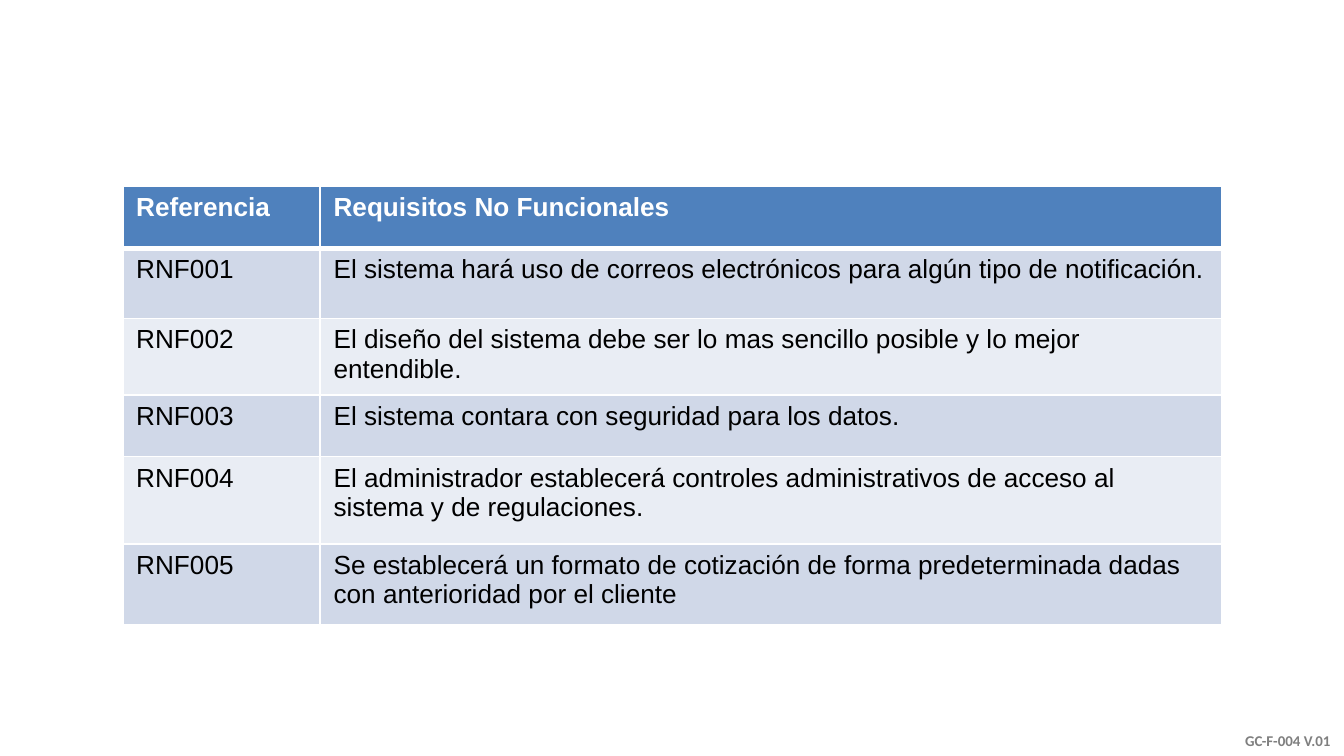
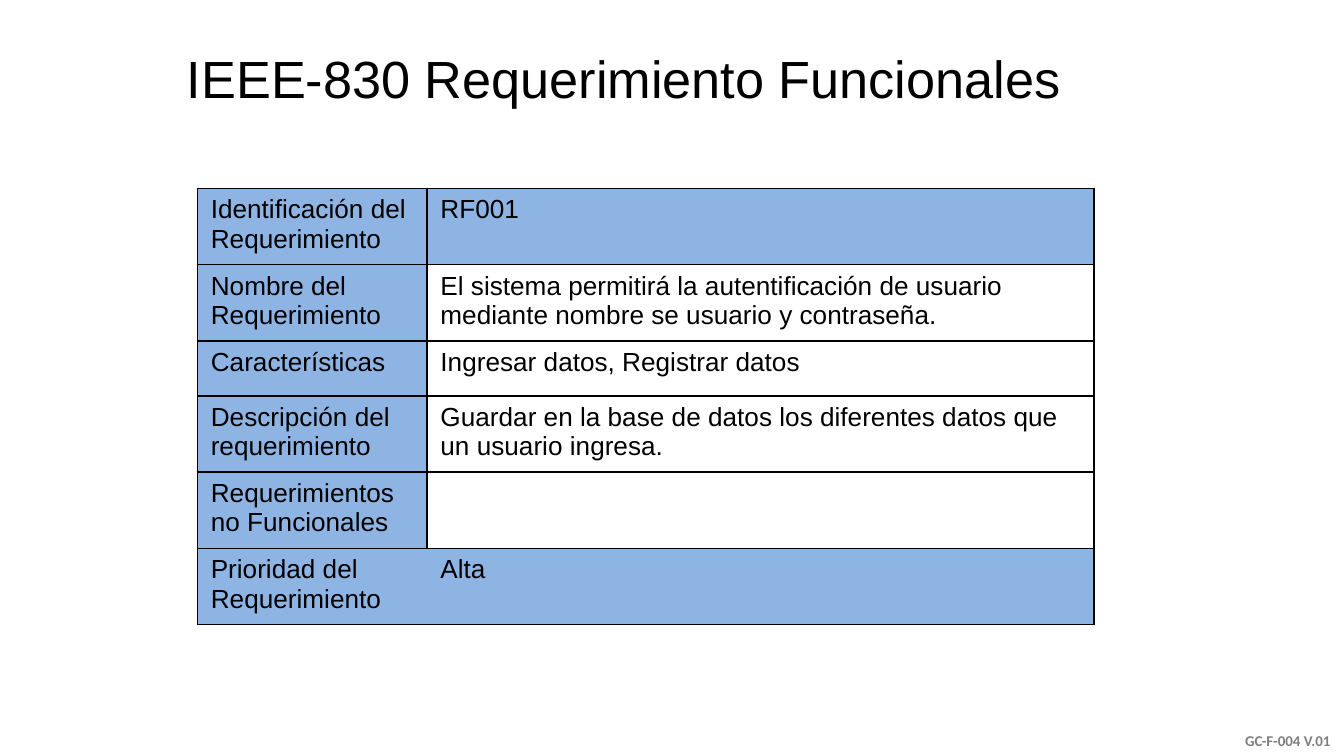
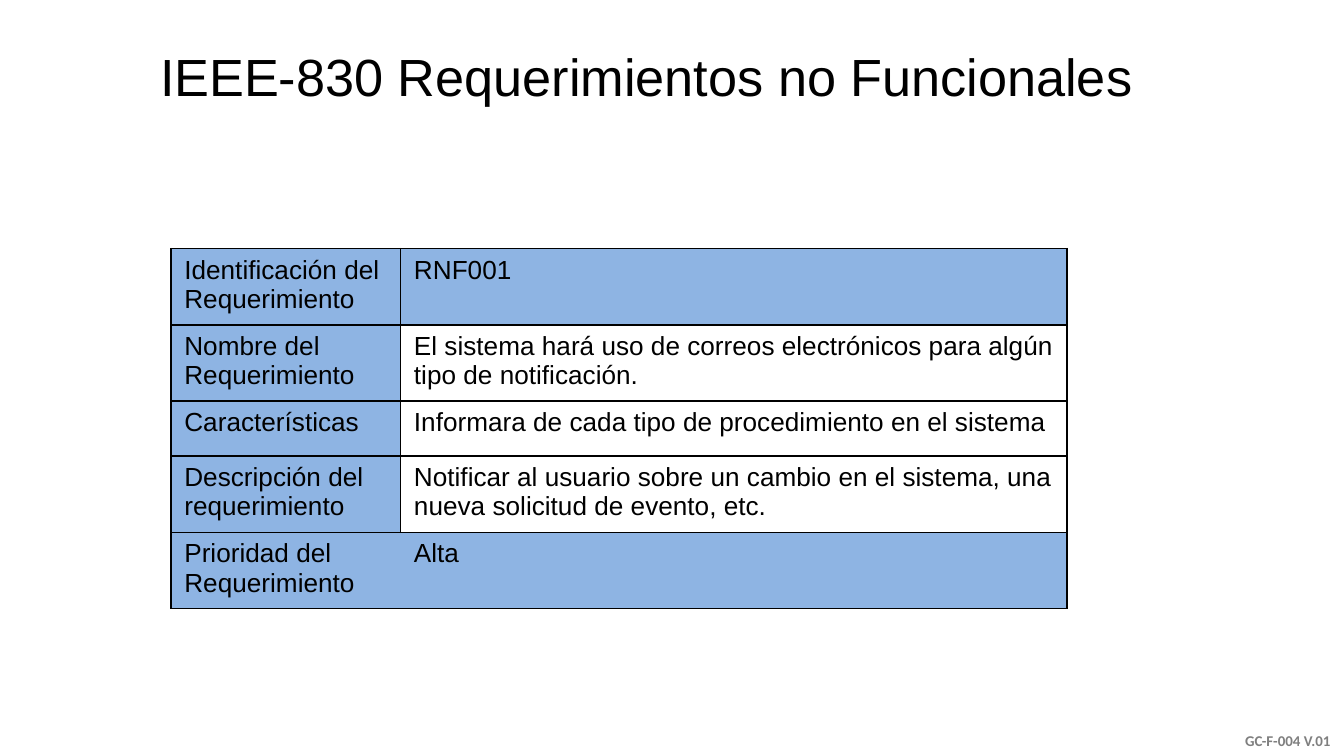
import pptx
import pptx.dml.color
import pptx.enum.text
import pptx.oxml
import pptx.oxml.ns
import pptx.util

Cm, Pt = pptx.util.Cm, pptx.util.Pt
ALIGN, ANCHOR = pptx.enum.text.PP_ALIGN, pptx.enum.text.MSO_ANCHOR
FIT = pptx.enum.text.MSO_AUTO_SIZE.SHAPE_TO_FIT_TEXT

COLORS = {
    "text": "000000", "white": "FFFFFF", "footer": "7F7F7F", "header": "4F81BD",
    "band_dark": "D0D8E8", "band_light": "E9EDF4", "form": "8EB4E3",
}
TITLE = {"name": "Arial", "size": Pt(28), "bold": False}
BODY = {"name": "Arial", "size": Pt(14), "bold": False}
HEADER = {**BODY, "bold": True}
FOOTER = {"name": "Calibri", "size": Pt(8), "bold": True}

LIST_COLS = (3.73, 17.04)
LIST_HEIGHTS = (1.17, 1.33, 1.35, 1.17, 1.65, 1.52)
FORM_COLS = (4.34, 12.6)
SHORT_ROW = 1.04

REQUIREMENTS = [
    ("Referencia", "Requisitos No Funcionales"),
    ("RNF001", "El sistema hará uso de correos electrónicos para algún tipo de notificación."),
    ("RNF002", "El diseño del sistema debe ser lo mas sencillo posible y lo mejor entendible."),
    ("RNF003", "El sistema contara con seguridad para los datos."),
    ("RNF004", "El administrador establecerá controles administrativos de acceso al sistema "
               "y de regulaciones."),
    ("RNF005", "Se establecerá un formato de cotización de forma predeterminada dadas con "
               "anterioridad por el cliente"),
]
FIELDS = {
    "id": "Identificación del Requerimiento",
    "name": "Nombre del Requerimiento",
    "features": "Características",
    "description": "Descripción del requerimiento",
    "non_functional": "Requerimientos no Funcionales",
    "priority": "Prioridad del Requerimiento",
}
FUNCTIONAL = {
    "id": "RF001",
    "name": "El sistema permitirá la autentificación de usuario mediante nombre se usuario "
            "y contraseña.",
    "features": "Ingresar datos, Registrar datos",
    "description": "Guardar en la base de datos los diferentes datos que un usuario ingresa.",
    "non_functional": "",
    "priority": "Alta",
}
NON_FUNCTIONAL = {
    "id": "RNF001",
    "name": "El sistema hará uso de correos electrónicos para algún tipo de notificación.",
    "features": "Informara de cada tipo de procedimiento en el sistema",
    "description": "Notificar al usuario sobre un cambio en el sistema, una nueva solicitud "
                   "de evento, etc.",
    "priority": "Alta",
}


def rgb(color):
    """Return the named colour as an RGB value."""
    return pptx.dml.color.RGBColor.from_string(COLORS[color])


def write(tf, text, style, color, align=ALIGN.LEFT):
    """Write one formatted run in a text frame."""
    p = tf.paragraphs[0]
    p.alignment = align
    r = p.add_run()
    r.text = text
    for key, value in style.items():
        setattr(r.font, key, value)
    r.font.color.rgb = rgb(color)


def place(shape, box):
    """Move a shape to a box of left, top, width and height in centimetres."""
    for key, value in zip(("left", "top", "width", "height"), box):
        setattr(shape, key, Cm(value))


def set_borders(cell, color, widths):
    """Draw the cell borders, given in points by side; zero hides a side."""
    tcPr = cell._tc.get_or_add_tcPr()
    for side in "LRTB":
        width = widths.get(side, 1)
        fill = (f'<a:solidFill><a:srgbClr val="{COLORS[color]}"/></a:solidFill>'
                if width else "<a:noFill/>")
        tcPr.append(pptx.oxml.parse_xml(
            f'<a:ln{side} {pptx.oxml.ns.nsdecls("a")} w="{Pt(width)}">{fill}</a:ln{side}>'))


def fill_cell(cell, text, style, color, fill, border, widths):
    """Format a table cell and write its text."""
    set_borders(cell, border, widths)
    if fill:
        cell.fill.solid()
        cell.fill.fore_color.rgb = rgb(fill)
    else:
        cell.fill.background()
    if text:
        write(cell.text_frame, text, style, color)


def add_grid(s, left, top, cols, heights):
    """Add a table with the given column widths and row heights."""
    box = (left, top, sum(cols), sum(heights))
    table = s.shapes.add_table(len(heights), len(cols), *map(Cm, box)).table
    for column, width in zip(table.columns, cols):
        column.width = Cm(width)
    for row, height in zip(table.rows, heights):
        row.height = Cm(height)
    return table


def add_list_table(s, left, top, rows):
    """Add the banded list of requirements."""
    table = add_grid(s, left, top, LIST_COLS, LIST_HEIGHTS)
    for i, row in enumerate(rows):
        if i == 0:
            style, color, fill = HEADER, "white", "header"
        else:
            style, color, fill = BODY, "text", "band_dark" if i % 2 else "band_light"
        widths = {"B": 3} if i == 0 else {"T": 3} if i == 1 else {}
        for j, text in enumerate(row):
            fill_cell(table.cell(i, j), text, style, color, fill, "white", widths)


def add_form_table(s, left, top, values, tall_row):
    """Add the form that describes one requirement."""
    heights = [SHORT_ROW if key == "features" else tall_row for key in values]
    table = add_grid(s, left, top, FORM_COLS, heights)
    table.first_row = table.horz_banding = False
    for i, (key, value) in enumerate(values.items()):
        last = key == "priority"
        value_fill = "form" if key in ("id", "priority") else None
        fill_cell(table.cell(i, 0), FIELDS[key], BODY, "text", "form", "text",
                  {"R": 0} if last else {})
        fill_cell(table.cell(i, 1), value, BODY, "text", value_fill, "text",
                  {"L": 0} if last else {})


def add_title(s, text, box):
    """Place and write the slide title."""
    place(s.shapes.title, box)
    tf = s.shapes.title.text_frame
    for key, value in {"word_wrap": True, "auto_size": FIT, "vertical_anchor": ANCHOR.TOP}.items():
        setattr(tf, key, value)
    write(tf, text, TITLE, "text")


def add_footer(s):
    """Write the document code in the bottom right corner."""
    tf = s.shapes.add_textbox(Cm(21.26), Cm(13.2), Cm(4.14), Cm(1.09)).text_frame
    tf.word_wrap = True
    tf.vertical_anchor = ANCHOR.BOTTOM
    write(tf, "GC-F-004 V.01", FOOTER, "footer", ALIGN.RIGHT)


def add_slide(prs, layout):
    """Add a slide with the shared footer."""
    s = prs.slides.add_slide(prs.slide_layouts.get_by_name(layout))
    add_footer(s)
    return s


def add_list_slide(prs):
    """Add the slide that lists the requirements."""
    add_list_table(add_slide(prs, "Blank"), 2.32, 3.52, REQUIREMENTS)


def add_form_slide(prs, title, title_box, values, left, top, tall_row):
    """Add a titled slide with the form of one requirement."""
    s = add_slide(prs, "Title Only")
    add_title(s, title, title_box)
    add_form_table(s, left, top, values, tall_row)


def main():
    """Build and save the presentation."""
    prs = pptx.Presentation()
    prs.slide_width, prs.slide_height = Cm(25.4), Cm(14.29)
    add_list_slide(prs)
    add_form_slide(prs, "IEEE-830 Requerimiento Funcionales", (3.28, 0.74, 18.34, 1.45),
                   FUNCTIONAL, 3.73, 3.56, 1.36)
    add_form_slide(prs, "IEEE-830 Requerimientos no Funcionales", (2.77, 0.71, 19.35, 1.45),
                   NON_FUNCTIONAL, 3.23, 4.7, 1.44)
    prs.save("out.pptx")


if __name__ == "__main__":
    main()
